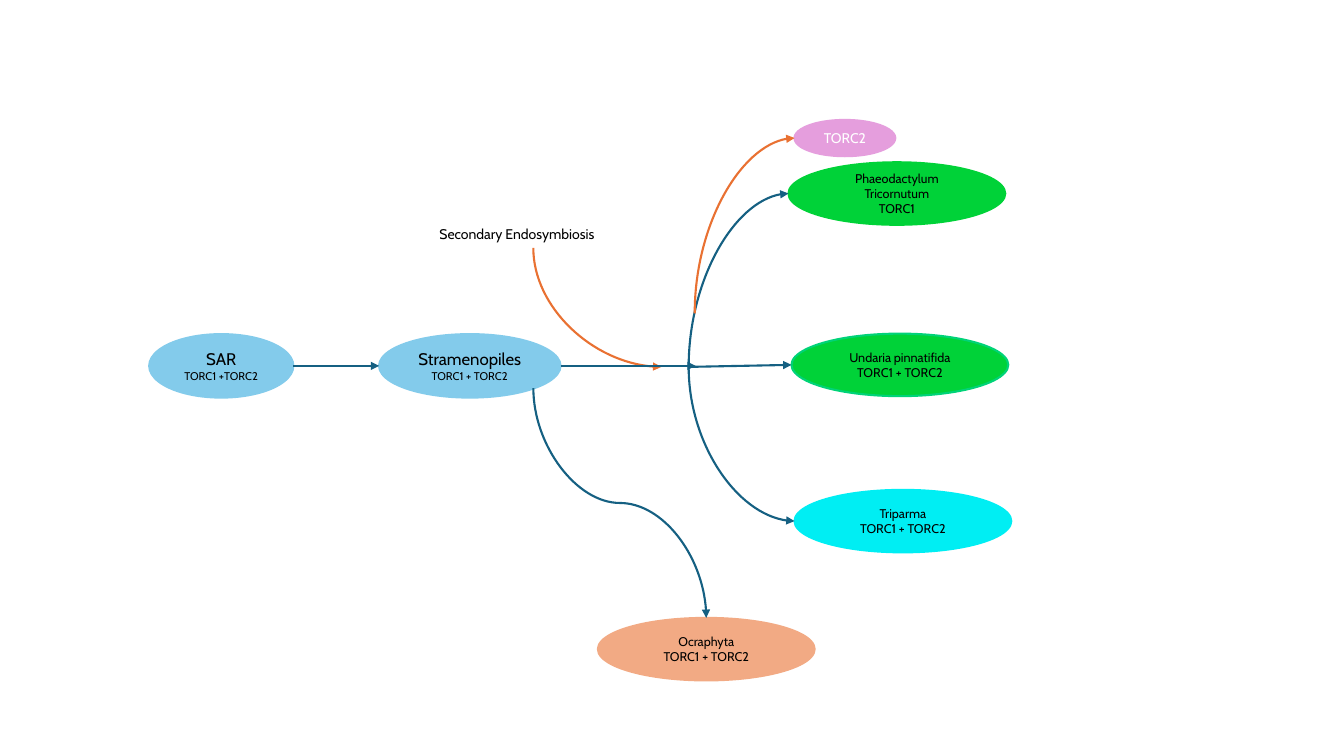
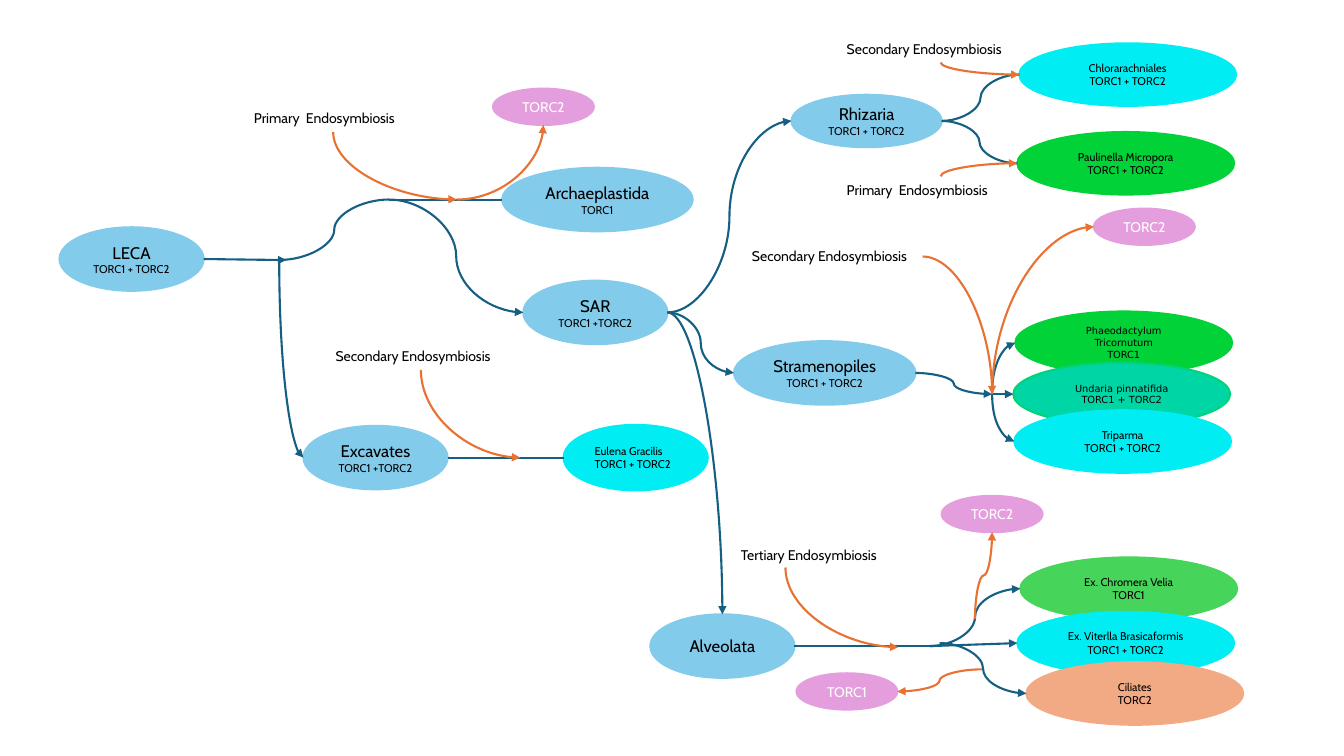
import pptx
import pptx.dml.color
import pptx.enum.shapes
import pptx.enum.text
import pptx.oxml.ns
import pptx.util
from lxml import etree

Inches, Pt = pptx.util.Inches, pptx.util.Pt
RGB = pptx.dml.color.RGBColor
qn = pptx.oxml.ns.qn
PRESET = pptx.enum.shapes.MSO_SHAPE
CONNECTOR = pptx.enum.shapes.MSO_CONNECTOR
ALIGN = pptx.enum.text.PP_ALIGN
ANCHOR = pptx.enum.text.MSO_ANCHOR

COLORS = {
    "sky": "83CBEB", "pink": "E59EDD", "green": "00D238", "lime": "47D45A",
    "cyan": "00EEF3", "mint": "00D5A5", "rim": "00D378", "peach": "F2AA84",
    "blue": "156082", "orange": "E97132", "black": "000000", "white": "FFFFFF",
}
# first line size, other lines size, font, colour, alignment
TEXT = {
    "group": (12, 8, "Cabin", "black", ALIGN.CENTER),
    "complex": (10, 10, "Cabin", "white", ALIGN.CENTER),
    "species": (9, 9, "Cabin", "black", ALIGN.CENTER),
    "small": (8, 8, "Cabin", "black", ALIGN.CENTER),
    "small left": (8, 8, "Cabin", "black", ALIGN.LEFT),
    "tiny": (7, 7, "DejaVu Sans", "black", ALIGN.CENTER),
    "label": (10, 10, "Cabin", "black", ALIGN.LEFT),
}
SPECIES_SIZE = (2.15, 0.62)
SIZES = {"group": (1.43, 0.63), "complex": (1, 0.36), "small left": (1.43, 0.65)}
WIDTHS = {"Stramenopiles": 1.8, "Archaeplastida": 1.89, "Rhizaria": 1.49}
LABEL_HEIGHT = 0.27
SIDES = {"left": (0, 0.5), "right": (1, 0.5), "top": (0.5, 0), "bottom": (0.5, 1)}
# preset, whether the path leaves its start vertically
ROUTES = {
    "straight": (None, False),
    "bend across": ("curvedConnector2", False),
    "bend down": ("curvedConnector2", True),
    "wave across": ("curvedConnector3", False),
    "wave down": ("curvedConnector3", True),
}
BOTH = "TORC1 + TORC2"
SAR_BOTH = "TORC1 +TORC2"

# ellipses: key, lines, style, fill, left, middle, optional outline
# labels: key, text, left, top, width
# links: route, colour, start, end (a point, or a key and a side), optional False for no arrowhead
SLIDES = [
    {
        "ellipses": [
            ("SAR", ["SAR", SAR_BOTH], "group", "sky", 1.48, 3.63),
            ("Stramenopiles", ["Stramenopiles", BOTH], "group", "sky", 3.76, 3.63),
            ("Loss", ["TORC2"], "complex", "pink", 7.88, 1.37),
            ("Diatom", ["Phaeodactylum Tricornutum", "TORC1"], "species", "green", 7.82, 1.92),
            ("Undaria", ["Undaria pinnatifida", BOTH], "species", "green", 7.85, 3.62, "rim"),
            ("Triparma", ["Triparma", BOTH], "species", "cyan", 7.88, 5.17),
            ("Ocraphyta", ["Ocraphyta", BOTH], "species", "peach", 5.93, 6.44),
        ],
        "labels": [("Secondary", "Secondary Endosymbiosis", 4.26, 2.19, 2.06)],
        "points": {
            "fork": (6.83, 3.64), "stem tip": (6.9, 3.63), "merge": (6.56, 3.64),
            "loss start": (6.89, 3.11), "exit": (5.29, 3.85),
        },
        "links": [
            ("bend down", "blue", "fork", "Diatom left"),
            ("bend down", "blue", "fork", "Triparma left"),
            ("bend down", "orange", "loss start", "Loss left"),
            ("bend down", "orange", "Secondary bottom", "merge"),
            ("straight", "blue", "fork", "Undaria left"),
            ("straight", "blue", "SAR right", "Stramenopiles left"),
            ("straight", "blue", "Stramenopiles right", "stem tip"),
            ("wave down", "blue", "exit", "Ocraphyta top"),
        ],
    },
    {
        "ellipses": [
            ("LECA", ["LECA", BOTH], "group", "sky", 0.59, 2.57),
            ("SAR", ["SAR", SAR_BOTH], "group", "sky", 5.19, 3.1),
            ("Archaeplastida", ["Archaeplastida", "TORC1"], "group", "sky", 4.98, 1.98),
            ("Excavates", ["Excavates", SAR_BOTH], "group", "sky", 3.01, 4.54),
            ("Stramenopiles", ["Stramenopiles", BOTH], "group", "sky", 7.28, 3.7),
            ("Rhizaria", ["Rhizaria", BOTH], "group", "sky", 7.85, 1.2),
            ("Alveolata", ["Alveolata"], "group", "sky", 6.45, 6.41),
            ("Plant loss", ["TORC2"], "complex", "pink", 4.89, 1.06),
            ("Diatom loss", ["TORC2"], "complex", "pink", 10.85, 2.25),
            ("Chromera loss", ["TORC2"], "complex", "pink", 9.34, 5.1),
            ("Ciliate loss", ["TORC1"], "complex", "pink", 7.9, 6.86),
            ("Eulena", ["Eulena Gracilis", BOTH], "small left", "cyan", 5.59, 4.54),
            ("Chlorarachniales", ["Chlorarachniales", BOTH], "small", "cyan", 10.11, 0.74),
            ("Paulinella", ["Paulinella Micropora", BOTH], "small", "green", 10.09, 1.62),
            ("Diatom", ["Phaeodactylum Tricornutum", "TORC1"], "tiny", "green", 10.07, 3.4),
            ("Undaria", ["Undaria pinnatifida", BOTH], "tiny", "mint", 10.05, 3.91, "rim"),
            ("Triparma", ["Triparma", BOTH], "small", "cyan", 10.06, 4.38),
            ("Chromera", ["Ex. Chromera Velia", "TORC1"], "small", "lime", 10.12, 5.84),
            ("Viterlla", ["Ex. Viterlla Brasicaformis", BOTH], "small", "cyan", 10.09, 6.38),
            ("Ciliates", ["Ciliates", "TORC2"], "small", "peach", 10.18, 6.88),
        ],
        "labels": [
            ("Plant", "Primary  Endosymbiosis", 2.42, 1.04, 1.77),
            ("Diatom event", "Secondary Endosymbiosis", 7.36, 2.41, 1.79),
            ("Eulena event", "Secondary Endosymbiosis", 3.23, 3.4, 1.89),
            ("Paulinella event", "Primary  Endosymbiosis", 8.3, 1.75, 2.06),
            ("Rhizaria event", "Secondary Endosymbiosis", 8.3, 0.35, 2.06),
            ("Tertiary", "Tertiary Endosymbiosis", 7.25, 5.37, 1.72),
        ],
        "points": {
            "root": (2.77, 2.58), "root tip": (2.84, 2.58), "crest": (3.86, 1.98),
            "plant merge": (4.53, 1.98), "eulena merge": (5.16, 4.54),
            "diatom fork": (9.84, 3.91), "alveolate fork": (9.22, 6.41),
            "ciliate fork": (9.32, 6.38), "tertiary start": (7.79, 5.63),
            "tertiary merge": (8.91, 6.42), "loss up": (9.67, 6.14), "loss down": (9.74, 6.64),
        },
        "links": [
            ("straight", "blue", "LECA right", "root tip"),
            ("straight", "blue", "crest", "Archaeplastida left", False),
            ("wave across", "blue", "SAR right", "Rhizaria left"),
            ("wave across", "blue", "crest", "SAR left"),
            ("wave across", "blue", "root", "crest", False),
            ("bend down", "blue", "root", "Excavates left"),
            ("wave across", "blue", "SAR right", "Stramenopiles left"),
            ("straight", "blue", "Excavates right", "Eulena left", False),
            ("bend across", "blue", "SAR right", "Alveolata top"),
            ("wave across", "blue", "alveolate fork", "Chromera left"),
            ("wave across", "blue", "ciliate fork", "Ciliates left"),
            ("straight", "blue", "Alveolata right", "alveolate fork", False),
            ("wave across", "blue", "Rhizaria right", "Paulinella left", False),
            ("wave across", "blue", "Rhizaria right", "Chlorarachniales left", False),
            ("bend down", "blue", "diatom fork", "Diatom left"),
            ("bend down", "blue", "diatom fork", "Triparma left"),
            ("wave across", "blue", "Stramenopiles right", "diatom fork"),
            ("straight", "blue", "diatom fork", "Undaria left"),
            ("straight", "blue", "alveolate fork", "Viterlla left"),
            ("bend down", "orange", "Plant bottom", "plant merge"),
            ("bend across", "orange", "plant merge", "Plant loss bottom"),
            ("bend down", "orange", "Eulena event bottom", "eulena merge"),
            ("bend across", "orange", "Diatom event right", "diatom fork"),
            ("bend down", "orange", "diatom fork", "Diatom loss left"),
            ("bend down", "orange", "Paulinella event top", "Paulinella left"),
            ("bend down", "orange", "Rhizaria event bottom", "Chlorarachniales left"),
            ("bend down", "orange", "tertiary start", "tertiary merge"),
            ("wave down", "orange", "loss up", "Chromera loss bottom"),
            ("wave across", "orange", "loss down", "Ciliate loss right"),
        ],
    },
]


def rgb(name):
    return RGB.from_string(COLORS[name])


def write_lines(tf, lines, style):
    first_size, other_size, font, color, align = TEXT[style]
    tf.word_wrap = True
    for i, line in enumerate(lines):
        p = tf.add_paragraph() if i else tf.paragraphs[0]
        p.text = line
        p.alignment = align
        p.font.size = Pt(other_size if i else first_size)
        p.font.name = font
        p.font.color.rgb = rgb(color)


def add_ellipse(s, key, lines, style, fill, left, middle, outline=None):
    """Draw an ellipse and return its box."""
    width, height = SIZES.get(style, SPECIES_SIZE)
    width = WIDTHS.get(key, width)
    if key == "Rhizaria":
        height = 0.52
    box = (left, middle - height / 2, width, height)
    sp = s.shapes.add_shape(PRESET.OVAL, *map(Inches, box))
    sp.shadow.inherit = False
    sp.fill.solid()
    sp.fill.fore_color.rgb = rgb(fill)
    sp.line.color.rgb = rgb(outline or fill)
    sp.line.width = Pt(1.5)
    sp.text_frame.vertical_anchor = ANCHOR.MIDDLE
    write_lines(sp.text_frame, lines, style)
    return box


def add_label(s, text, left, top, width):
    """Draw a label and return its box."""
    box = (left, top, width, LABEL_HEIGHT)
    sp = s.shapes.add_textbox(*map(Inches, box))
    write_lines(sp.text_frame, [text], "label")
    return box


def locate(end, boxes, points):
    """Turn a point name, or a key and a side, into coordinates."""
    if end in points:
        return points[end]
    key, side = end.rsplit(" ", 1)
    left, top, width, height = boxes[key]
    across, down = SIDES[side]
    return left + across * width, top + down * height


def add_link(s, route, color, start, end, arrow=True):
    """Presets leave horizontally, so a vertical start is a quarter turn about the centre."""
    preset, vertical = ROUTES[route]
    (x1, y1), (x2, y2) = start, end
    turn = 1 if y2 > y1 else -1
    if vertical:
        cx, cy = (x1 + x2) / 2, (y1 + y2) / 2
        half_w, half_h = -turn * (y2 - y1) / 2, turn * (x2 - x1) / 2
        x1, y1, x2, y2 = cx - half_w, cy - half_h, cx + half_w, cy + half_h
    kind = CONNECTOR.CURVE if preset else CONNECTOR.STRAIGHT
    cxn = s.shapes.add_connector(kind, *map(Inches, (x1, y1, x2, y2)))
    cxn.line.color.rgb = rgb(color)
    cxn.line.width = Pt(1.5)
    sp_pr = cxn._element.spPr
    if preset:
        sp_pr.find(qn("a:prstGeom")).set("prst", preset)
    if vertical:
        degrees = 270 if turn > 0 else 90
        sp_pr.find(qn("a:xfrm")).set("rot", str(degrees * 60000))
    if arrow:
        etree.SubElement(sp_pr.find(qn("a:ln")), qn("a:tailEnd"), type="triangle")
    etree.SubElement(sp_pr, qn("a:effectLst"))


def main():
    prs = pptx.Presentation()
    prs.slide_width, prs.slide_height = Inches(13.33), Inches(7.5)
    for content in SLIDES:
        s = prs.slides.add_slide(prs.slide_layouts[6])
        boxes = {e[0]: add_ellipse(s, *e) for e in content["ellipses"]}
        for key, *label in content["labels"]:
            boxes[key] = add_label(s, *label)
        for route, color, start, end, *arrow in content["links"]:
            ends = [locate(name, boxes, content["points"]) for name in (start, end)]
            add_link(s, route, color, *ends, *arrow)
    prs.save("out.pptx")


if __name__ == "__main__":
    main()
